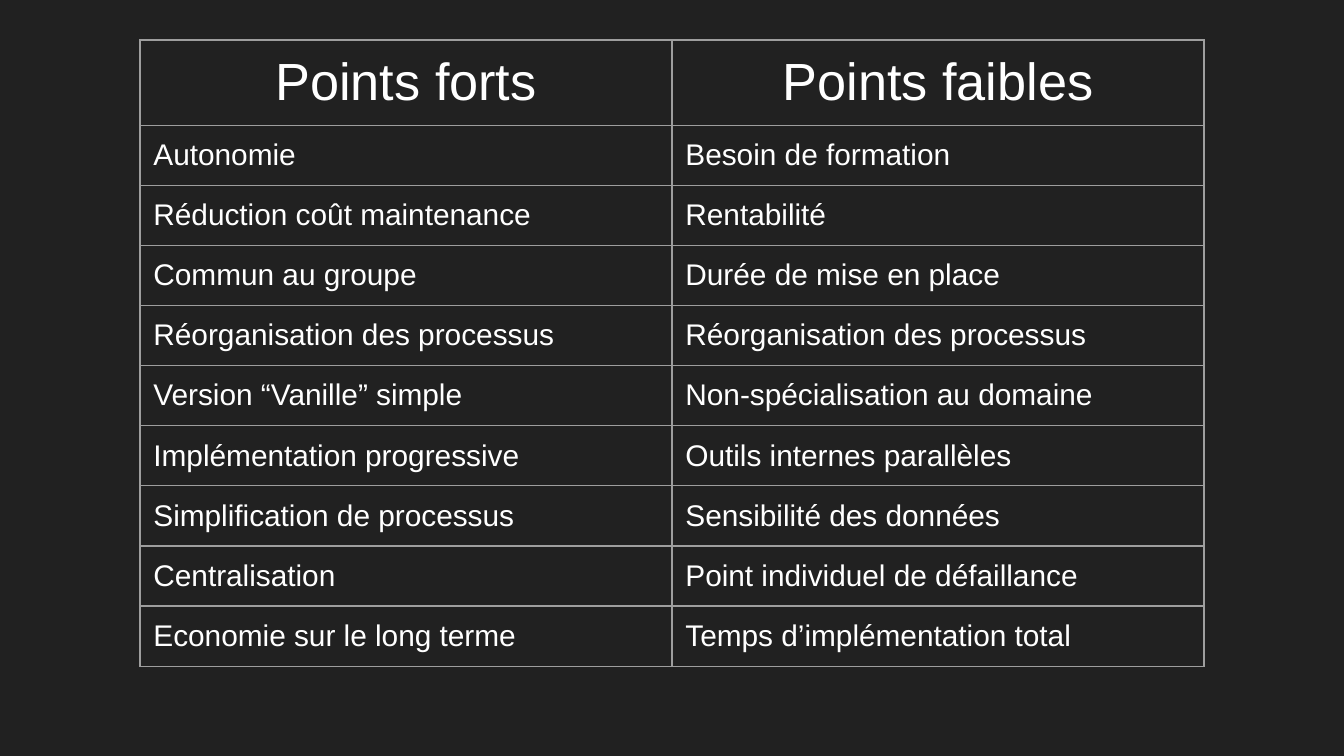
import lxml.etree
import pptx
import pptx.dml.color
import pptx.enum.text
import pptx.oxml.ns
import pptx.util

PX = 9144000 / 1344
BACKGROUND = pptx.dml.color.RGBColor(0x21, 0x21, 0x21)
WHITE = pptx.dml.color.RGBColor(0xFF, 0xFF, 0xFF)
GREY = pptx.dml.color.RGBColor(0x9E, 0x9E, 0x9E)

ROWS = [
    ("Points forts", "Points faibles"),
    ("Autonomie", "Besoin de formation"),
    ("Réduction coût maintenance", "Rentabilité"),
    ("Commun au groupe", "Durée de mise en place"),
    ("Réorganisation des processus", "Réorganisation des processus"),
    ("Version “Vanille” simple", "Non-spécialisation au domaine"),
    ("Implémentation progressive", "Outils internes parallèles"),
    ("Simplification de processus", "Sensibilité des données"),
    ("Centralisation", "Point individuel de défaillance"),
    ("Economie sur le long terme", "Temps d’implémentation total"),
]
COLUMN_WIDTH = 532
ROW_HEIGHT = 56


def px(length):
    return pptx.util.Emu(round(length * PX))


def add_borders(cell):
    properties = cell._tc.get_or_add_tcPr()
    qn = pptx.oxml.ns.qn
    for side in ("lnL", "lnR", "lnT", "lnB"):
        line = lxml.etree.SubElement(
            properties, qn(f"a:{side}"), w=str(pptx.util.Pt(0.75)))
        fill = lxml.etree.SubElement(line, qn("a:solidFill"))
        lxml.etree.SubElement(fill, qn("a:srgbClr"), val=str(GREY))


deck = pptx.Presentation()
deck.slide_width = px(1344)
deck.slide_height = px(756)
page = deck.slides.add_slide(deck.slide_layouts[6])
page.background.fill.solid()
page.background.fill.fore_color.rgb = BACKGROUND

table = page.shapes.add_table(
    len(ROWS), 2, px(140), px(40),
    px(2 * COLUMN_WIDTH), px(len(ROWS) * ROW_HEIGHT)).table
table.first_row = False
table.horz_banding = False
for column in table.columns:
    column.width = px(COLUMN_WIDTH)

for row_index, texts in enumerate(ROWS):
    table.rows[row_index].height = px(ROW_HEIGHT)
    is_header = row_index == 0
    for column_index, text in enumerate(texts):
        cell = table.cell(row_index, column_index)
        add_borders(cell)
        cell.fill.background()
        cell.margin_left = cell.margin_right = pptx.util.Inches(0.1)
        cell.margin_top = cell.margin_bottom = pptx.util.Inches(0.1)
        cell.text_frame.text = text
        para = cell.text_frame.paragraphs[0]
        if is_header:
            para.alignment = pptx.enum.text.PP_ALIGN.CENTER
        span = para.runs[0]
        span.font.name = "Arial"
        span.font.size = pptx.util.Pt(28 if is_header else 16)
        span.font.color.rgb = WHITE

deck.save("out.pptx")
